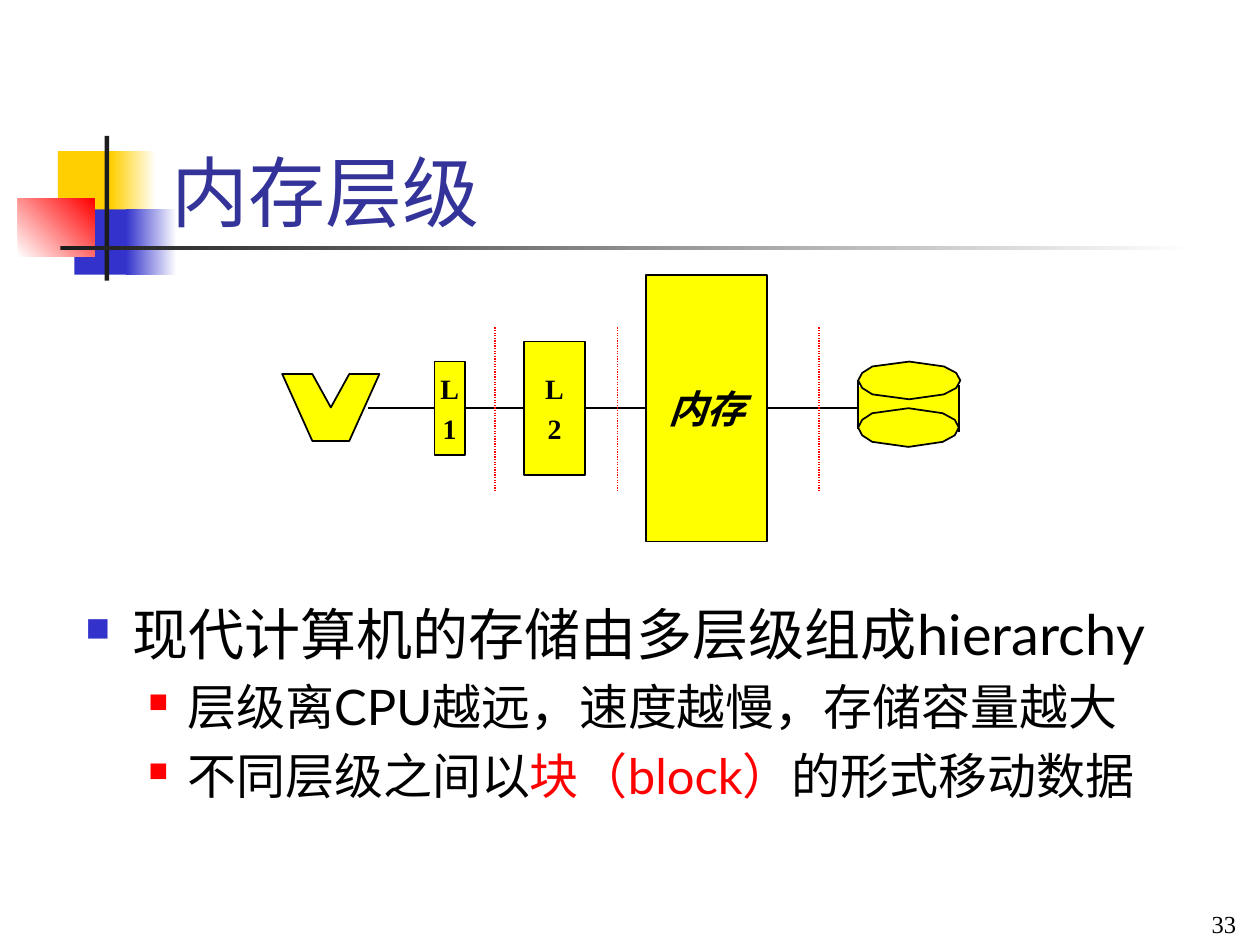
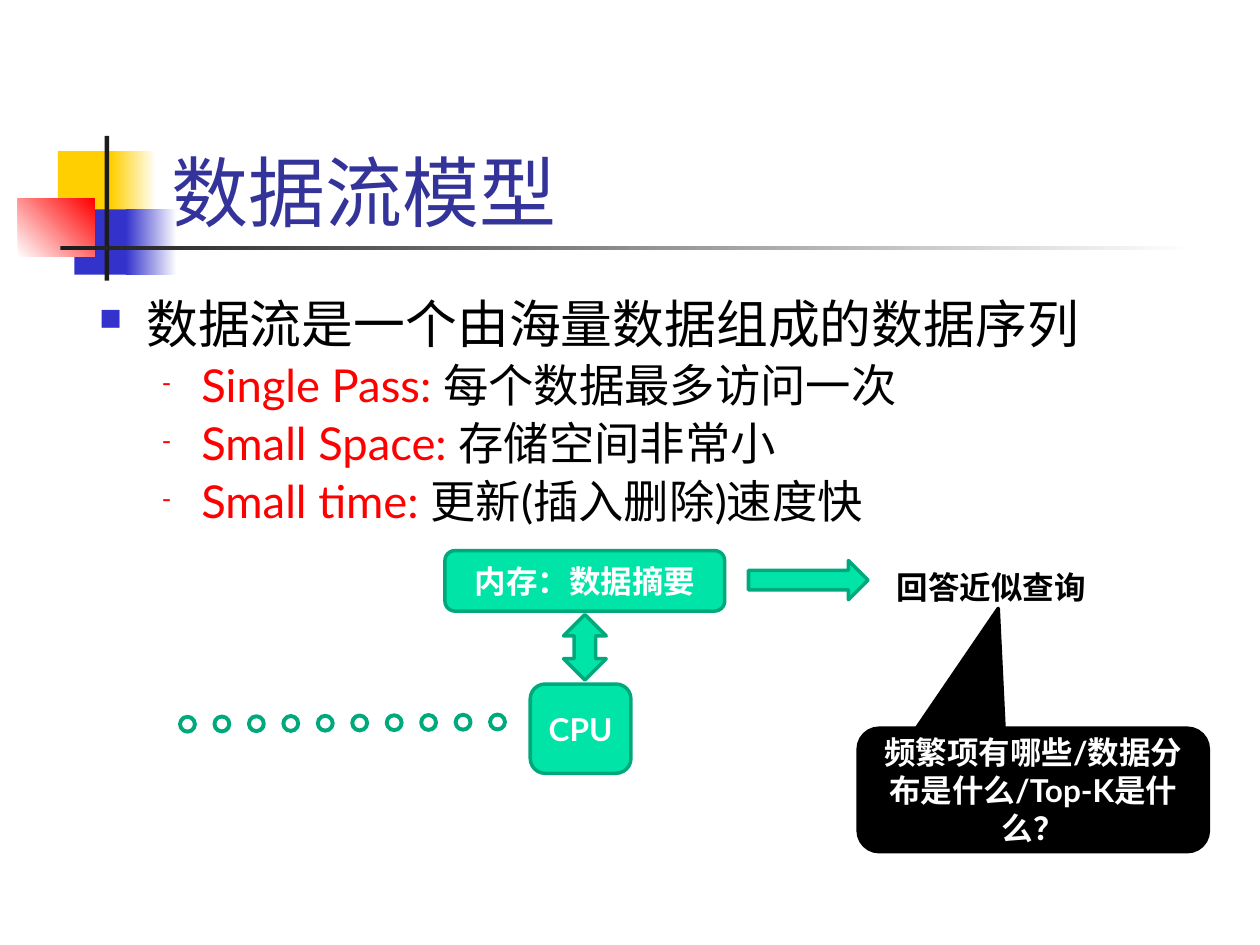
"""Build two slides on the memory hierarchy and the data stream model."""
from lxml.etree import SubElement
from pptx import Presentation
from pptx.dml.color import RGBColor
from pptx.enum.dml import MSO_LINE
from pptx.enum.shapes import MSO_CONNECTOR, MSO_SHAPE
from pptx.enum.text import MSO_ANCHOR, PP_ALIGN
from pptx.oxml.ns import qn
from pptx.util import Cm, Pt

COLORS = {
    "white": "FFFFFF", "black": "000000", "ink": "1C1C1C", "gold": "FFCF01",
    "blue": "3333CC", "title": "333399", "red": "FF0000", "yellow": "FFFF00",
    "green": "00E4A8", "dark_green": "00A97C",
}
SANS, SERIF = "Lato", "Times New Roman"

DECORATION = [
    ((1.17, 3.05, 1.22, 1.32), ("gold",), 0),
    ((2.24, 3.05, 0.91, 1.32), ("gold", "white"), 0),
    ((1.5, 4.22, 1.17, 1.32), ("blue",), 0),
    ((2.54, 4.22, 1.02, 1.32), ("blue", "white"), 0),
    ((0.36, 4.01, 1.55, 1.17), ("white", "red"), 45),
    ((2.11, 2.74, 0.09, 2.92), ("ink",), 0),
    ((1.22, 4.95, 22.86, 0.09), ("ink", "white"), 0),
]
TITLE_PLACE = (3.2, 1.73, 21.64, 3.18)

HIERARCHY_TITLE = "内存层级"
HIERARCHY_POINTS = [
    (0, [("现代计算机的存储由多层级组成hierarchy", "black")]),
    (1, [("层级离CPU越远，速度越慢，存储容量越大", "black")]),
    (1, [("不同层级之间以", "black"), ("块（block）", "red"),
         ("的形式移动数据", "black")]),
]
PAGE_NUMBER = "33"
WIRE_Y = 8.23
MEMORY_LEVELS = [
    (8.76, 0.61, 1.88, ["L", "1"], {"size": 16}),
    (10.57, 1.22, 2.69, ["L", "2"], {"size": 16}),
    (13.03, 2.44, 5.38, ["内存"], {"size": 22, "italic": True}),
]
LEVEL_BORDERS = [9.98, 12.45, 16.51]
PROCESSOR_OUTLINE = [(0, 0), (0.31, 0), (0.5, 0.5), (0.69, 0), (1, 0),
                     (0.69, 1), (0.31, 1)]
DISK_OUTLINE = [(1, 0.5), (0.96, 0.3), (0.84, 0.13), (0.5, 0), (0.14, 0.13),
                (0.04, 0.3), (0, 0.5), (0.04, 0.7), (0.14, 0.87), (0.5, 1),
                (0.84, 0.87), (0.96, 0.7)]

STREAM_TITLE = "数据流模型"
STREAM_POINTS = [(0, [("数据流是一个由海量数据组成的数据序列", "black")])] + [
    (1, [(name, "red"), (meaning, "black")]) for name, meaning in (
        ("Single Pass: ", "每个数据最多访问一次"),
        ("Small Space: ", "存储空间非常小"),
        ("Small time: ", "更新(插入删除)速度快"))
]
STREAM_PARTS = [
    (MSO_SHAPE.ROUNDED_RECTANGLE, (10.69, 13.79, 2.03, 1.8), 0, "CPU"),
    (MSO_SHAPE.ROUNDED_RECTANGLE, (8.97, 11.1, 5.64, 1.22), 0, "内存：数据摘要"),
    (MSO_SHAPE.LEFT_RIGHT_ARROW, (11.13, 12.62, 1.32, 0.86), 90, ""),
    (MSO_SHAPE.RIGHT_ARROW, (15.09, 11.3, 2.41, 0.79), 0, ""),
]
ANSWER = "回答近似查询"
QUESTIONS = "频繁项有哪些/数据分布是什么/Top-K是什么？"
ITEM_COUNT, FIRST_ITEM, LAST_ITEM = 10, 3.63, 9.88


def color(name):
    return RGBColor.from_string(COLORS[name])


def paint(shape, fill, line=None, width=1):
    shape.shadow.inherit = False
    shape.fill.solid()
    shape.fill.fore_color.rgb = color(fill)
    if line:
        shape.line.color.rgb = color(line)
        shape.line.width = Pt(width)
    else:
        shape.line.fill.background()
    return shape


def add_box(page, place, fill, line=None, width=1, kind=MSO_SHAPE.RECTANGLE):
    return paint(page.shapes.add_shape(kind, *map(Cm, place)), fill, line, width)


def add_outline(page, points, place):
    left, top, width, height = place
    corners = [(Cm(left + x * width), Cm(top + y * height)) for x, y in points]
    builder = page.shapes.build_freeform(*corners[0], scale=1.0)
    builder.add_line_segments(corners[1:], close=True)
    return paint(builder.convert_to_shape(), "yellow", "black")


def add_line(page, start, end, line="black", width=1, dash=None):
    connector = page.shapes.add_connector(
        MSO_CONNECTOR.STRAIGHT, *map(Cm, start + end))
    connector.line.color.rgb = color(line)
    connector.line.width = Pt(width)
    if dash:
        connector.line.dash_style = dash
    SubElement(connector._element.spPr, qn("a:effectLst"))
    return connector


def add_span(para, text, size, ink, font=SANS, bold=False, italic=False):
    span = para.add_run()
    span.text = text
    span.font.name, span.font.size = font, Pt(size)
    span.font.bold, span.font.italic = bold, italic
    span.font.color.rgb = color(ink)


def write(shape, lines, align=PP_ALIGN.CENTER, anchor=MSO_ANCHOR.MIDDLE,
          wrap=True, margin=None, gap=0, size=18, ink="white", **style):
    frame = shape.text_frame
    frame.word_wrap, frame.vertical_anchor = wrap, anchor
    if margin is not None:
        frame.margin_left = frame.margin_right = Cm(margin)
    for index, line in enumerate(lines):
        para = frame.add_paragraph() if index else frame.paragraphs[0]
        para.alignment = align
        para.space_before = Pt(gap * size)
        add_span(para, line, size, ink, **style)


def add_points(page, place, points, sizes, marks, spacing):
    frame = page.shapes.add_textbox(*map(Cm, place)).text_frame
    frame.word_wrap = True
    for index, (level, spans) in enumerate(points):
        para = frame.add_paragraph() if index else frame.paragraphs[0]
        para.level, para.line_spacing = level, spacing
        para.space_before = Pt(0.2 * sizes[level])
        properties = para._p.get_or_add_pPr()
        margin, hanging = ((0.95, 0.95), (2.06, 0.79))[level]
        properties.set("marL", str(Cm(margin)))
        properties.set("indent", str(-Cm(hanging)))
        mark_color = SubElement(properties, qn("a:buClr"))
        SubElement(mark_color, qn("a:srgbClr"),
                   val=COLORS[("blue", "red")[level]])
        SubElement(properties, qn("a:buSzPct"), val=("60000", "55000")[level])
        SubElement(properties, qn("a:buChar"), char=marks[level])
        for text, ink in spans:
            add_span(para, text, sizes[level], ink)


def add_page(deck, title):
    page = deck.slides.add_slide(deck.slide_layouts[5])
    for place, shades, angle in DECORATION:
        box = add_box(page, place, shades[0])
        if len(shades) > 1:
            box.fill.gradient()
            box.fill.gradient_angle = angle
            for stop, shade in zip(box.fill.gradient_stops, shades):
                stop.color.rgb = color(shade)
    heading = page.shapes.title
    heading.left, heading.top, heading.width, heading.height = map(Cm, TITLE_PLACE)
    write(heading, [title], align=PP_ALIGN.LEFT, anchor=MSO_ANCHOR.BOTTOM,
          size=44, ink="title")
    return page


def build_hierarchy(deck):
    page = add_page(deck, HIERARCHY_TITLE)
    add_points(page, (1.47, 11.96, 22.43, 5.46), HIERARCHY_POINTS,
               (32, 28), "■■", 1.0)
    number = page.shapes.add_textbox(*map(Cm, (19.89, 17.78, 5.28, 1.27)))
    write(number, [PAGE_NUMBER], align=PP_ALIGN.RIGHT, anchor=MSO_ANCHOR.BOTTOM,
          size=14, ink="black", font=SERIF)

    stations = []
    for left, width, height, label, style in MEMORY_LEVELS:
        box = add_box(page, (left, WIRE_Y - height / 2, width, height),
                      "yellow", "black")
        write(box, label, margin=0, gap=0.2, ink="black", font=SERIF,
              bold=True, **style)
        stations.append(box)
    stations.append(add_box(page, (17.3, WIRE_Y - 0.43, 2.03, 0.86), "yellow"))

    add_outline(page, DISK_OUTLINE, (17.3, 7.29, 2.06, 0.76))
    add_line(page, (17.3, 7.67), (17.3, 8.64))
    add_line(page, (19.33, 7.77), (19.33, 8.71))
    add_outline(page, PROCESSOR_OUTLINE, (5.69, 7.54, 1.96, 1.35))
    for source, target in zip([None] + stations, stations):
        wire = add_line(page, (7.42, WIRE_Y), (8.76, WIRE_Y))
        if source is not None:
            wire.begin_connect(source, 3)
        wire.end_connect(target, 1)
    add_outline(page, DISK_OUTLINE, (17.3, WIRE_Y, 2.03, 0.78))
    for x in LEVEL_BORDERS:
        add_line(page, (x, 6.6), (x, 9.88), "red", 0.75, MSO_LINE.ROUND_DOT)


def build_stream(deck):
    page = add_page(deck, STREAM_TITLE)
    add_points(page, (1.75, 5.89, 21.89, 5.05), STREAM_POINTS,
               (29.6, 25.9), "■‐", 0.9)
    pitch = (LAST_ITEM - FIRST_ITEM) / (ITEM_COUNT - 1)
    for index in range(ITEM_COUNT):
        add_box(page, (FIRST_ITEM + index * pitch, 14.45 - 0.005 * index, 0.3, 0.3),
                "white", "dark_green", 2.25, MSO_SHAPE.OVAL)
    for kind, place, rotation, label in STREAM_PARTS:
        part = add_box(page, place, "green", "dark_green", 2, kind)
        part.rotation = rotation
        if label:
            write(part, [label], bold=True)
    answer = page.shapes.add_textbox(*map(Cm, (17.83, 11.33, 4.39, 1.02)))
    write(answer, [ANSWER], align=PP_ALIGN.LEFT, anchor=MSO_ANCHOR.TOP,
          wrap=False, ink="black", bold=True)
    callout = add_box(page, (17.3, 14.68, 7.06, 2.49), "black", "black", 2,
                      MSO_SHAPE.ROUNDED_RECTANGULAR_CALLOUT)
    for index, value in enumerate((-0.1, -1.47, 0.17)):
        callout.adjustments[index] = value
    write(callout, [QUESTIONS], bold=True)


def main():
    deck = Presentation()
    deck.slide_width, deck.slide_height = Cm(25.4), Cm(19.05)
    build_hierarchy(deck)
    build_stream(deck)
    deck.save("out.pptx")


if __name__ == "__main__":
    main()
